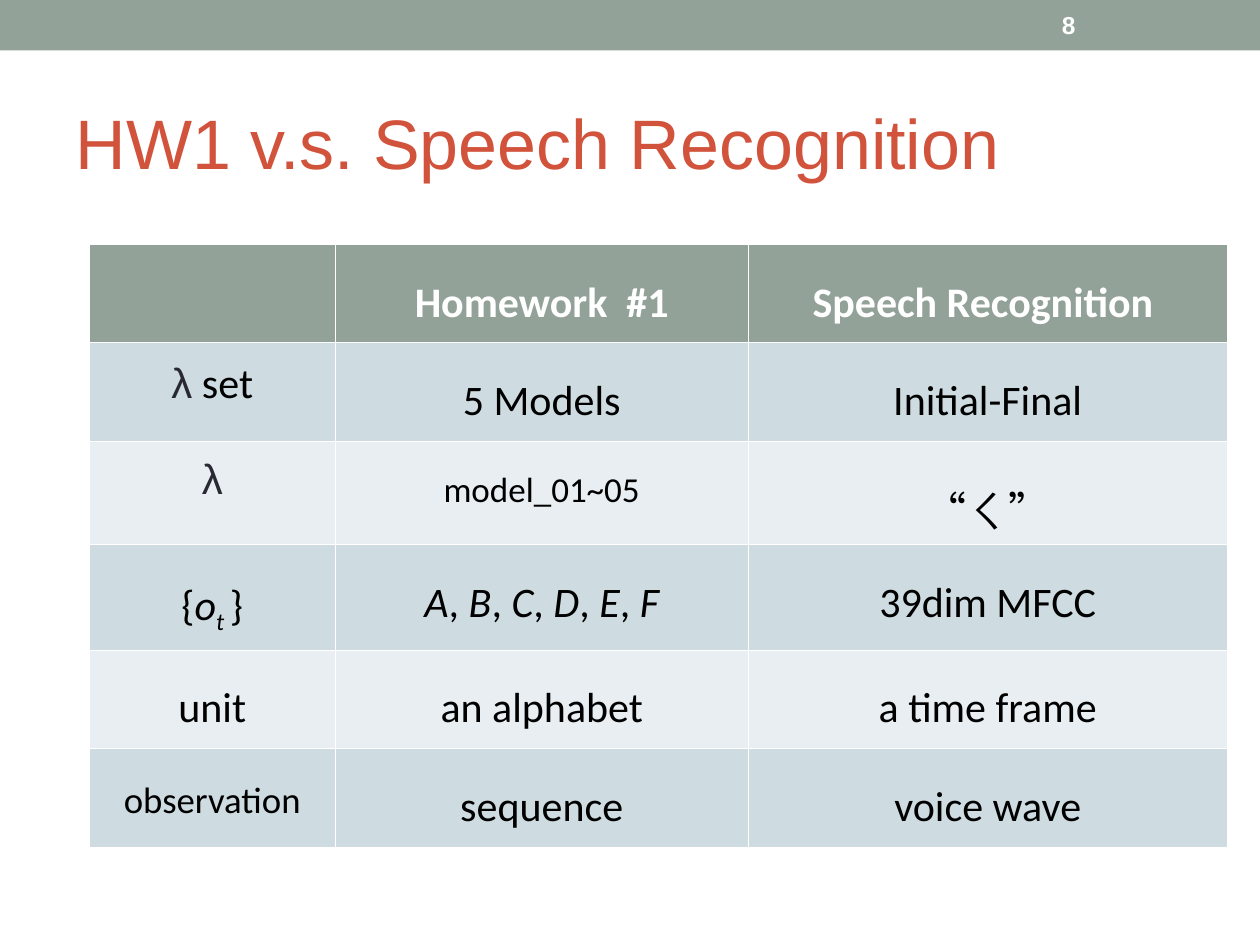
from dataclasses import dataclass

from lxml.etree import SubElement
from pptx import Presentation
from pptx.dml.color import RGBColor
from pptx.enum.shapes import MSO_SHAPE
from pptx.enum.text import MSO_ANCHOR, PP_ALIGN
from pptx.oxml.ns import qn
from pptx.util import Inches, Pt


@dataclass(frozen=True)
class Theme:
    sage: str = "93A299"
    title: str = "D2533C"
    white: str = "FFFFFF"
    black: str = "000000"
    ink: str = "292934"
    bands: tuple = ("CEDCE1", "E8EEF1")
    heading_font: str = "Arial"
    body_font: str = "Calibri"
    title_size: float = 40
    body_size: float = 24
    number_size: float = 14
    border: float = 0.11
    header_border: float = 0.34


@dataclass(frozen=True)
class Run:
    text: str
    italic: bool = False
    subscript: bool = False
    symbol: bool = False


@dataclass(frozen=True)
class Entry:
    runs: tuple
    size: float = Theme.body_size
    spacing: float = 1.52


THEME = Theme()
LAMBDA = Run("λ", symbol=True)
LETTERS = [Run(letter, italic=True) for letter in "ABCDEF"]
LETTER_RUNS = [r for letter in LETTERS for r in (Run(", "), letter)][1:]

# Plain strings are cells in the usual style
ROWS = [
    ["", "Homework  #1", "Speech Recognition "],
    [Entry((LAMBDA, Run(" set")), spacing=1.19), "5 Models", "Initial-Final"],
    [Entry((LAMBDA,), spacing=1.19), Entry((Run("model_01~05"),), size=20), "“ㄑ”"],
    [Entry((Run("{"), Run("o", italic=True),
            Run("t ", italic=True, subscript=True), Run("}"))),
     Entry(tuple(LETTER_RUNS)), "39dim MFCC"],
    ["unit", "an alphabet", "a time frame"],
    [Entry((Run("observation"),), size=21), "sequence", "voice wave"],
]
COL_WIDTHS = [1.95, 3.28, 3.8]
ROW_HEIGHTS = [0.78, 0.78, 0.82, 0.84, 0.78, 0.78]


def style_font(font, name, size, color, bold=False):
    font.name = name
    font.size = Pt(size)
    font.bold = bold
    font.color.rgb = RGBColor.from_string(color)


def set_borders(cell, top, bottom):
    """Draw white lines on all four sides; borders come before the fill."""
    tc_pr = cell._tc.get_or_add_tcPr()
    widths = {"L": THEME.border, "R": THEME.border, "T": top, "B": bottom}
    for i, (side, width) in enumerate(widths.items()):
        line = SubElement(tc_pr, qn(f"a:ln{side}"), w=str(Pt(width)))
        fill = SubElement(line, qn("a:solidFill"))
        SubElement(fill, qn("a:srgbClr"), val=THEME.white)
        tc_pr.insert(i, line)


def fill_entry(cell, entry, header):
    p = cell.text_frame.paragraphs[0]
    p.alignment = PP_ALIGN.CENTER
    p.line_spacing = entry.spacing
    style_font(p.font, THEME.body_font, entry.size,
               THEME.white if header else THEME.black, header)
    for part in entry.runs:
        r = p.add_run()
        r.text = part.text
        color = THEME.white if header else THEME.black
        if part.symbol:
            style_font(r.font, THEME.heading_font, entry.size, THEME.ink)
        else:
            style_font(r.font, THEME.body_font, entry.size, color, header)
        if part.italic:
            r.font.italic = True
        if part.subscript:
            r._r.get_or_add_rPr().set("baseline", "-25000")


def add_top_bar(s, left, top, width, height):
    bar = s.shapes.add_shape(MSO_SHAPE.RECTANGLE, left, top, width, height)
    bar.shadow.inherit = False
    bar.fill.solid()
    bar.fill.fore_color.rgb = RGBColor.from_string(THEME.sage)
    bar.line.fill.background()

    # Page number near the right end
    box = s.shapes.add_textbox(left + width - Inches(1.67), top + Inches(0.02),
                               Inches(1.17), height - Inches(0.04))
    tf = box.text_frame
    tf.word_wrap = True
    tf.vertical_anchor = MSO_ANCHOR.MIDDLE
    p = tf.paragraphs[0]
    p.text = "8"
    style_font(p.font, THEME.heading_font, THEME.number_size, THEME.white, True)


def add_title(s, left, top, width, height):
    title = s.shapes.title
    title.left, title.top, title.width, title.height = left, top, width, height
    tf = title.text_frame
    tf.vertical_anchor = MSO_ANCHOR.MIDDLE
    p = tf.paragraphs[0]
    p.text = "HW1 v.s. Speech Recognition"
    p.alignment = PP_ALIGN.LEFT
    style_font(p.font, THEME.heading_font, THEME.title_size, THEME.title)


def add_comparison(s, left, top, width, height):
    table = s.shapes.add_table(len(ROWS), len(COL_WIDTHS),
                               left, top, width, height).table
    # Share the box out in the given proportions
    for col, share in zip(table.columns, COL_WIDTHS):
        col.width = int(width * share / sum(COL_WIDTHS))
    for row, share in zip(table.rows, ROW_HEIGHTS):
        row.height = int(height * share / sum(ROW_HEIGHTS))

    for i, row in enumerate(ROWS):
        header = i == 0
        color = THEME.sage if header else THEME.bands[(i - 1) % 2]
        for j, value in enumerate(row):
            cell = table.cell(i, j)
            cell.fill.solid()
            cell.fill.fore_color.rgb = RGBColor.from_string(color)
            set_borders(cell,
                        THEME.header_border if i == 1 else THEME.border,
                        THEME.header_border if header else THEME.border)
            if value:
                entry = Entry((Run(value),)) if isinstance(value, str) else value
                fill_entry(cell, entry, header)


def main():
    prs = Presentation()
    prs.slide_width, prs.slide_height = Inches(10), Inches(7.5)
    s = prs.slides.add_slide(prs.slide_layouts[5])
    add_top_bar(s, 0, 0, prs.slide_width, Inches(0.4))
    add_title(s, Inches(0.5), Inches(0.58), Inches(9), Inches(1.08))
    add_comparison(s, Inches(0.71), Inches(1.94),
                   Inches(sum(COL_WIDTHS)), Inches(sum(ROW_HEIGHTS)))
    prs.save("out.pptx")


if __name__ == "__main__":
    main()
